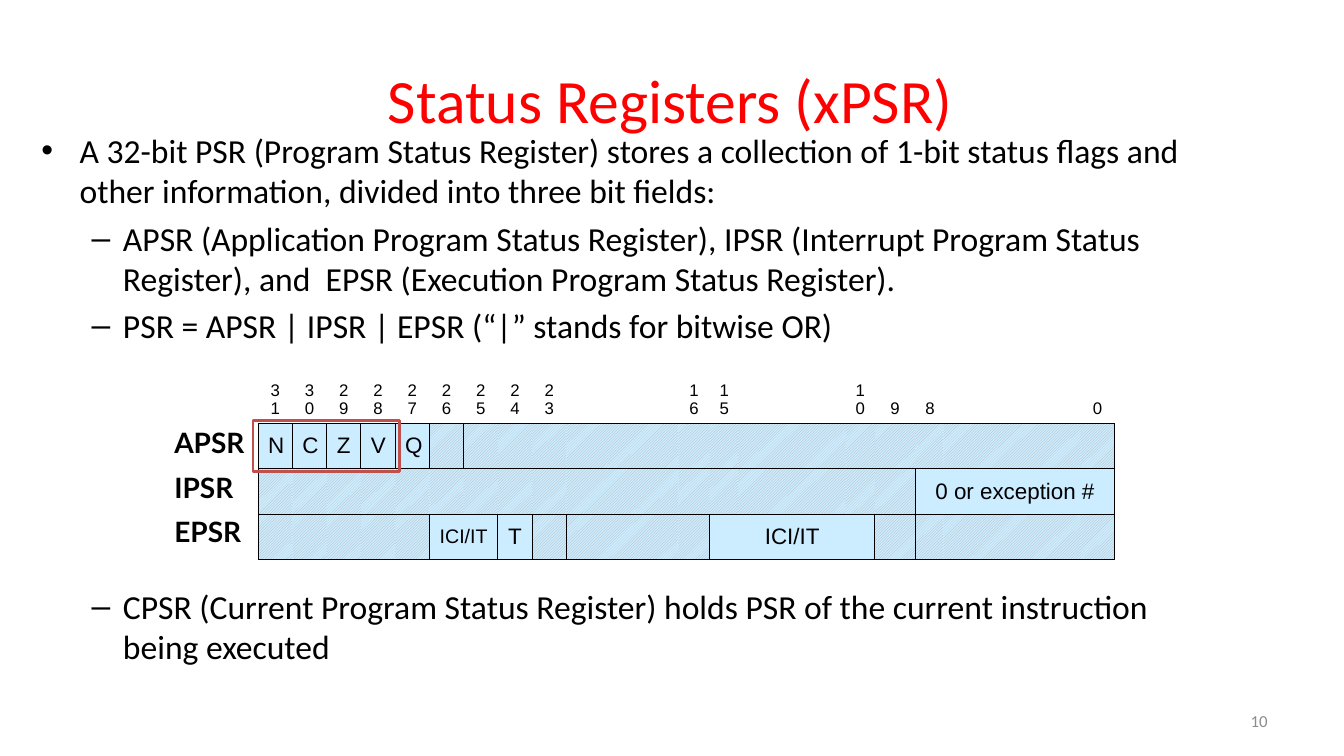
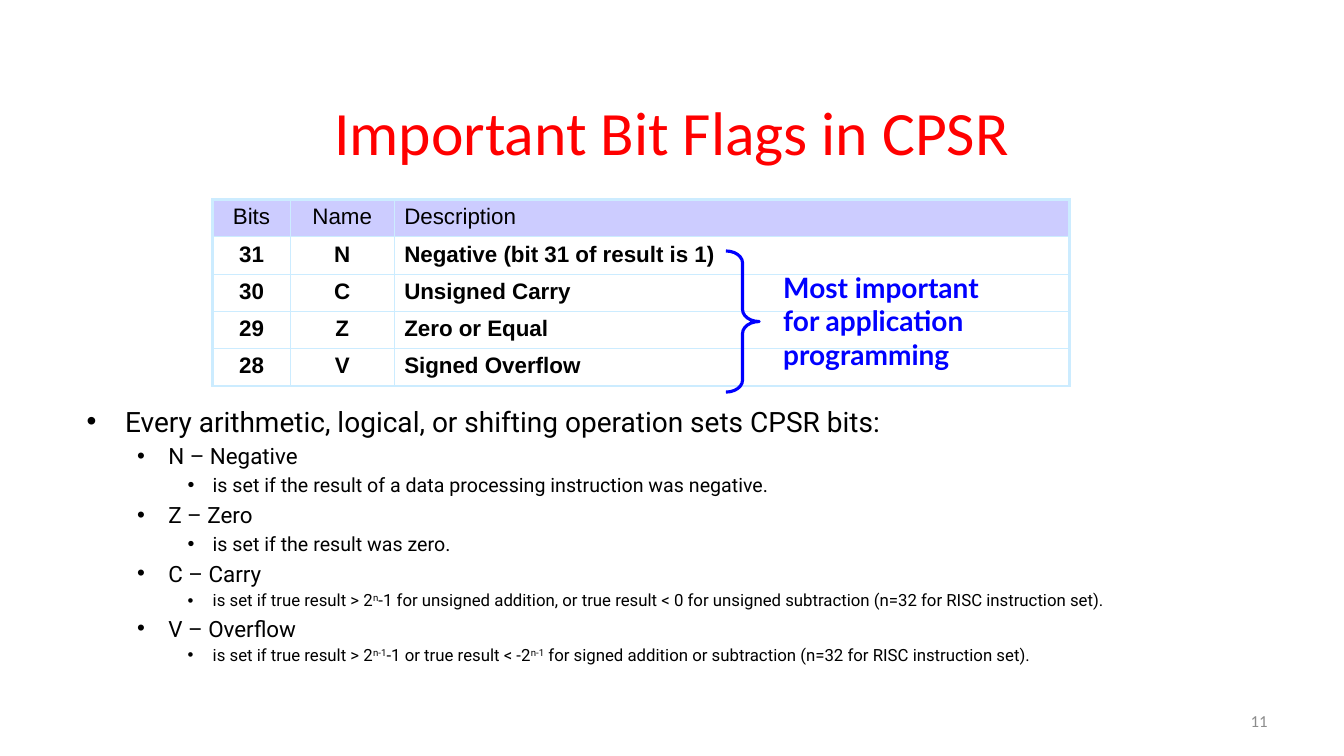
from lxml.etree import SubElement as Sub
from pptx import Presentation
from pptx.dml.color import RGBColor
from pptx.enum.dml import MSO_PATTERN
from pptx.enum.shapes import MSO_SHAPE
from pptx.enum.text import MSO_ANCHOR as ANCHOR, MSO_AUTO_SIZE as FIT, PP_ALIGN as ALIGN
from pptx.oxml.ns import qn
from pptx.util import Inches, Pt

rgb = RGBColor.from_string
BLACK, RED, BLUE, GRAY, WHITE = "000000", "FF0000", "0000FF", "8C8C8C", "FFFFFF"
PALE, LILAC, FRAME, HATCH = "CCECFF", "CCCCFF", "C0504D", "B2B2B2"
PLAIN = "{2D5ABB26-0587-4C30-8999-92F81FD0307C}"
LABEL = {"font": "Lato", "size": 20, "bold": True}


def write(para, text, font="Calibri", size=12, color=BLACK, bold=False, align=ALIGN.LEFT):
    """Fill a paragraph; text between two ^ marks is raised."""
    para.alignment = align
    for i, part in enumerate(text.split("^")):
        run = para.add_run()
        run.text = part
        style = {"name": font, "size": Pt(size), "bold": bold}
        for key, value in style.items():
            setattr(run.font, key, value)
        run.font.color.rgb = rgb(color)
        if i % 2:
            run.font._element.set("baseline", "30000")


def edge(cell, color, widths):
    """Draw cell borders, given as side letter to width in points; call before the fill."""
    props = cell._tc.get_or_add_tcPr()
    for side in "LRTB":
        if side in widths:
            line = Sub(props, qn("a:ln" + side), w=str(Pt(widths[side])))
            Sub(Sub(line, qn("a:solidFill")), qn("a:srgbClr"), val=color)


prs = Presentation()
prs.slide_width, prs.slide_height = Inches(13.33), Inches(7.5)

INDENTS = [(0.38, -0.38), (0.81, -0.31), (1.25, -0.25)]
# Each list item: level, size, space before, text
pages = [
    {
        "title": "Status Registers (xPSR)", "number": "10",
        "head": (2.4, 0.36, 8.5, 1.25), "body": (0.31, 1.24, 11.55, 6.03),
        "font": "Calibri", "marks": "•–",
        "items": [
            (0, 24, 0, "A 32-bit PSR (Program Status Register) stores a collection of 1-bit "
                       "status flags and other information, divided into three bit fields:"),
            (1, 24, 4.8, "APSR (Application Program Status Register), IPSR (Interrupt Program "
                         "Status Register), and  EPSR (Execution Program Status Register)."),
            (1, 24, 4.8, "PSR = APSR | IPSR | EPSR (“|” stands for bitwise OR)"),
            (1, 24, 172, "CPSR (Current Program Status Register) holds PSR of the current "
                         "instruction being executed"),
        ],
    },
    {
        "title": "Important Bit Flags in CPSR", "number": "11",
        "head": (1, 0.67, 11.33, 1.25), "body": (0.76, 3.96, 11.46, 3.19),
        "font": "Roboto", "marks": "•••",
        "items": [
            (0, 20, 0, "Every arithmetic, logical, or shifting operation sets CPSR bits:"),
            (1, 16, 3.2, "N – Negative"),
            (2, 14, 2.8, "is set if the result of a data processing instruction was negative."),
            (1, 16, 3.2, "Z – Zero"),
            (2, 14, 2.8, "is set if the result was zero."),
            (1, 16, 3.2, "C – Carry"),
            (2, 12, 2.4, "is set if true result > 2^n^-1 for unsigned addition, or true result "
                         "< 0 for unsigned subtraction (n=32 for RISC instruction set)."),
            (1, 16, 3.2, "V – Overflow"),
            (2, 12, 2.4, "is set if true result > 2^n-1^-1 or true result < -2^n-1^ for signed "
                         "addition or subtraction (n=32 for RISC instruction set)."),
        ],
    },
]

slides = []
for page in pages:
    slide = prs.slides.add_slide(prs.slide_layouts[1])
    slides.append(slide)
    title, body = slide.shapes.title, slide.placeholders[1]
    for shape, box in ((title, page["head"]), (body, page["body"])):
        shape.left, shape.top, shape.width, shape.height = map(Inches, box)
        shape.text_frame.auto_size = FIT.NONE
    write(title.text_frame.paragraphs[0], page["title"], size=44, color=RED, align=ALIGN.CENTER)

    for i, (level, size, gap, text) in enumerate(page["items"]):
        frame = body.text_frame
        para = frame.add_paragraph() if i else frame.paragraphs[0]
        para.level = level
        para.space_before = Pt(gap)
        props = para._p.get_or_add_pPr()
        for key, value in zip(("marL", "indent"), INDENTS[level]):
            props.set(key, str(Inches(value)))
        Sub(props, qn("a:buChar"), char=page["marks"][level])
        write(para, text, font=page["font"], size=size)

    foot = slide.shapes.add_textbox(*map(Inches, (9.56, 6.95, 3.11, 0.4))).text_frame
    foot.word_wrap = True
    foot.vertical_anchor = ANCHOR.MIDDLE
    write(foot.paragraphs[0], page["number"], color=GRAY, align=ALIGN.RIGHT)

psr, flags = slides

# Register layout: bit numbers above three rows of fields
cols = [0.34] * 9 + [1.11, 0.31, 0.28, 1.07, 0.29, 0.4, 0.28, 1.36, 0.34]
bits = "31 30 29 28 27 26 25 24 23 - 16 15 - 10 9 8 - 0".split()
# Each field: columns, text (none when reserved), size
fields = [
    [(1, name, 16) for name in "NCZVQ"] + [(13, "", 16)],
    [(15, "", 16), (3, "0 or exception #", 16)],
    [(5, "", 16), (2, "ICI/IT", 14), (1, "T", 16), (3, "", 16), (3, "ICI/IT", 16), (4, "", 16)],
]
holder = psr.shapes.add_table(4, len(cols), *map(Inches, (2.56, 3.7, 8.5, 1.85)))
grid = holder.table
grid._tbl.tblPr.find(qn("a:tableStyleId")).text = PLAIN
for col, width in zip(grid.columns, cols):
    col.width = Inches(width)
for row, height in zip(grid.rows, (0.5, 0.45, 0.45, 0.45)):
    row.height = Inches(height)

for c, bit in enumerate(bits):
    cell = grid.cell(0, c)
    edge(cell, BLACK, {"B": 1})
    cell.vertical_anchor = ANCHOR.BOTTOM
    if bit != "-":
        align = ALIGN.LEFT if bit == "10" else ALIGN.CENTER
        write(cell.text_frame.paragraphs[0], bit, font="Arial", align=align)

for r, row in enumerate(fields, 1):
    start = 0
    for span, text, size in row:
        last = start + span - 1
        for c in range(start, last + 1):
            cell = grid.cell(r, c)
            sides = "TB" + "L" * (c == start) + "R" * (c == last)
            edge(cell, BLACK, dict.fromkeys(sides, 1))
            if text:
                cell.fill.solid()
            else:
                cell.fill.patterned()
                cell.fill.pattern = MSO_PATTERN.DARK_UPWARD_DIAGONAL
                cell.fill.back_color.rgb = rgb(PALE)
            cell.fill.fore_color.rgb = rgb(PALE if text else HATCH)
        if text:
            cell = grid.cell(r, start)
            if span > 1:
                cell.merge(grid.cell(r, last))
                edge_end = cell._tc.tcPr.find(qn("a:lnT"))
                if cell._tc.tcPr.find(qn("a:lnR")) is None:
                    line = Sub(cell._tc.tcPr, qn("a:lnR"), w=str(Pt(1)))
                    Sub(Sub(line, qn("a:solidFill")), qn("a:srgbClr"), val=BLACK)
                    edge_end.addprevious(line)
            cell.vertical_anchor = ANCHOR.MIDDLE
            write(cell.text_frame.paragraphs[0], text, font="Arial", size=size, align=ALIGN.CENTER)
        start += span

names = psr.shapes.add_textbox(*map(Inches, (1.63, 4.17, 1.09, 1.37))).text_frame
names.word_wrap = True
for i, name in enumerate(("APSR", "IPSR", "EPSR")):
    para = names.add_paragraph() if i else names.paragraphs[0]
    para.space_before = Pt(8 if i else 0)
    write(para, name, **LABEL)

# Flag table
rows = [
    ("Bits", "Name", "Description"),
    ("31", "N", "Negative (bit 31 of result is 1)"),
    ("30", "C", "Unsigned Carry"),
    ("29", "Z", "Zero or Equal"),
    ("28", "V", "Signed Overflow"),
]
holder = flags.shapes.add_table(5, 3, *map(Inches, (2.11, 1.98, 8.5, 1.85)))
grid = holder.table
grid._tbl.tblPr.find(qn("a:tableStyleId")).text = PLAIN
for col, width in zip(grid.columns, (0.77, 1.03, 6.7)):
    col.width = Inches(width)
for r, row in enumerate(rows):
    for c, text in enumerate(row):
        cell = grid.cell(r, c)
        outer = {"L": c == 0, "R": c == 2, "T": r == 0, "B": r == 4}
        edge(cell, PALE, {side: 2.25 if out else 1 for side, out in outer.items()})
        cell.fill.solid()
        cell.fill.fore_color.rgb = rgb(WHITE if r else LILAC)
        write(cell.text_frame.paragraphs[0], text, font="Arial", size=16, bold=r > 0,
              align=ALIGN.LEFT if c == 2 else ALIGN.CENTER)

note = flags.shapes.add_textbox(*map(Inches, (7.67, 2.63, 2.5, 1.1))).text_frame
note.word_wrap = True
write(note.paragraphs[0], "Most important for application programming", color=BLUE, **LABEL)

# Outlines that pick out the four flags
marks = [
    (psr, MSO_SHAPE.RECTANGLE, (2.51, 4.17, 1.45, 0.51), FRAME, 2),
    (flags, MSO_SHAPE.RIGHT_BRACE, (7.2, 2.49, 0.33, 1.4), BLUE, 2.25),
]
for slide, kind, box, color, width in marks:
    mark = slide.shapes.add_shape(kind, *map(Inches, box))
    mark.shadow.inherit = False
    mark.fill.background()
    mark.line.color.rgb = rgb(color)
    mark.line.width = Pt(width)
    if kind == MSO_SHAPE.RIGHT_BRACE:
        mark.adjustments[0] = 0.36

prs.save("out.pptx")
